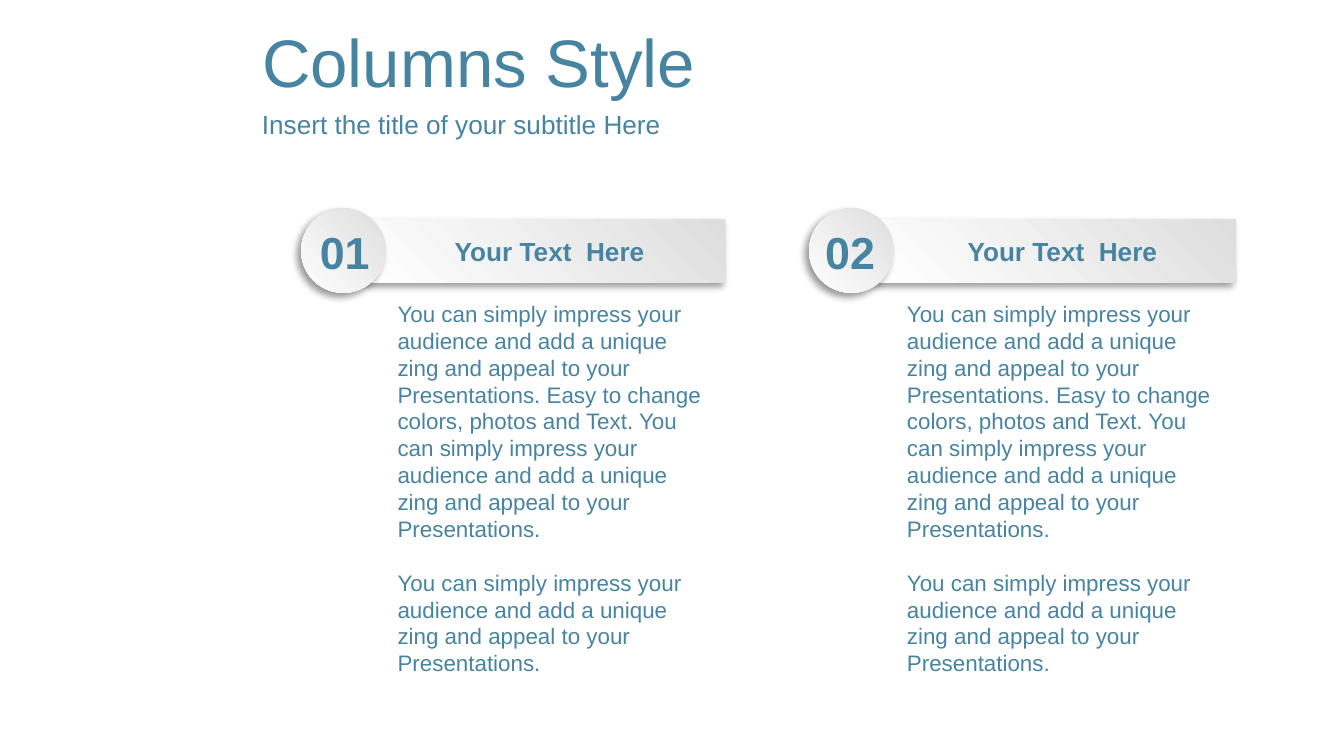
from dataclasses import dataclass

from lxml import etree
from pptx import Presentation
from pptx.dml.color import RGBColor
from pptx.enum.shapes import MSO_SHAPE
from pptx.enum.text import MSO_ANCHOR, MSO_AUTO_SIZE, PP_ALIGN
from pptx.oxml.ns import qn
from pptx.util import Inches, Pt

RECTANGLE, OVAL = MSO_SHAPE.RECTANGLE, MSO_SHAPE.OVAL
LEFT, CENTER = PP_ALIGN.LEFT, PP_ALIGN.CENTER
TOP, MIDDLE = MSO_ANCHOR.TOP, MSO_ANCHOR.MIDDLE
FIXED, GROW = MSO_AUTO_SIZE.NONE, MSO_AUTO_SIZE.SHAPE_TO_FIT_TEXT

# Grid of 1000 columns by 562.5 rows: a 16:9 slide
CELL = Inches(0.01)
COLUMNS = 1000
ROWS = COLUMNS * 9 / 16
TITLE_ONLY = 5

TEXT_COLOR = "4784A1"
GRADIENT = ("DEDEDE", "FFFFFF")
SHADOW_COLOR = "000000"

SHORT_TEXT = ("You can simply impress your audience and add a unique zing "
              "and appeal to your Presentations.")
LONG_TEXT = f"{SHORT_TEXT} Easy to change colors, photos and Text. {SHORT_TEXT}"
HEADING = "Your Text  Here"


@dataclass(frozen=True)
class Box:
    column: float
    row: float
    width: float
    height: float

    def lengths(self) -> list[int]:
        cells = (self.column, self.row, self.width, self.height)
        return [round(cell * CELL) for cell in cells]


@dataclass(frozen=True)
class Section:
    number: str
    circle: int
    number_column: int
    bar: int
    text: int
    heading_width: int


SECTIONS = (
    Section("01", circle=224, number_column=226, bar=272, text=286, heading_width=246),
    Section("02", circle=602, number_column=602, bar=652, text=665, heading_width=251),
)


def color(value: str) -> RGBColor:
    return RGBColor.from_string(value)


def set_attributes(target, values: dict) -> None:
    for name, value in values.items():
        setattr(target, name, value)


def add_shadow(shape) -> None:
    """Give the shape a soft shadow towards the lower left."""
    shape.shadow.inherit = False
    effects = shape._element.spPr.find(qn("a:effectLst"))
    shadow = etree.SubElement(
        effects, qn("a:outerShdw"), blurRad=str(Pt(4)), dist=str(Pt(3)),
        dir=str(135 * 60000), algn="tr", rotWithShape="0")
    shade = etree.SubElement(shadow, qn("a:srgbClr"), val=SHADOW_COLOR)
    etree.SubElement(shade, qn("a:alpha"), val="40000")


def add_panel(slide, kind, box: Box) -> None:
    shape = slide.shapes.add_shape(kind, *box.lengths())
    shape.fill.gradient()
    shape.fill.gradient_angle = 225
    for stop, value in zip(shape.fill.gradient_stops, GRADIENT):
        stop.color.rgb = color(value)
    shape.line.fill.background()
    add_shadow(shape)


def write_text(shape, texts: tuple, size: int, bold: bool = False, align=LEFT,
               anchor=TOP, auto_size=GROW, spacing: dict | None = None) -> None:
    frame = shape.text_frame
    frame.text = "\n".join(texts)
    set_attributes(frame, {"word_wrap": True, "auto_size": auto_size,
                           "vertical_anchor": anchor})
    for paragraph in frame.paragraphs:
        set_attributes(paragraph, {"alignment": align, **(spacing or {})})
        for run in paragraph.runs:
            set_attributes(run.font, {"name": "Arial", "size": Pt(size), "bold": bold})
            run.font.color.rgb = color(TEXT_COLOR)


def add_text(slide, box: Box, texts: tuple, size: int, **options) -> None:
    write_text(slide.shapes.add_textbox(*box.lengths()), texts, size, **options)


def add_section(slide, section: Section) -> None:
    # Bar with its round badge
    add_panel(slide, RECTANGLE, Box(section.bar, 163, 268, 47))
    add_panel(slide, OVAL, Box(section.circle, 155, 63, 63))

    # Heading and number
    add_text(slide, Box(section.text, 170, section.heading_width, 34),
             (HEADING,), 14, bold=True, align=CENTER)
    add_text(slide, Box(section.number_column, 162, 61, 50),
             (section.number,), 24, bold=True, align=CENTER)

    # Body, with one line of space between the paragraphs
    line = Pt(14.4)
    add_text(slide, Box(section.text, 218.4, 246, 293), (LONG_TEXT, SHORT_TEXT), 12,
             spacing={"line_spacing": line, "space_after": line})


def main() -> None:
    presentation = Presentation()
    set_attributes(presentation, {"slide_width": COLUMNS * CELL,
                                  "slide_height": round(ROWS * CELL)})
    slide = presentation.slides.add_slide(presentation.slide_layouts[TITLE_ONLY])

    # Title and subtitle
    title = slide.shapes.title
    places = Box(185, 13.5, 815, 63).lengths()
    set_attributes(title, dict(zip(("left", "top", "width", "height"), places)))
    write_text(title, ("Columns Style",), 36, anchor=MIDDLE, auto_size=FIXED)
    add_text(slide, Box(185, 77, 815, 31), ("Insert the title of your subtitle Here",),
             14, anchor=MIDDLE, auto_size=FIXED)

    # Numbered columns
    for section in SECTIONS:
        add_section(slide, section)

    presentation.save("out.pptx")


if __name__ == "__main__":
    main()
